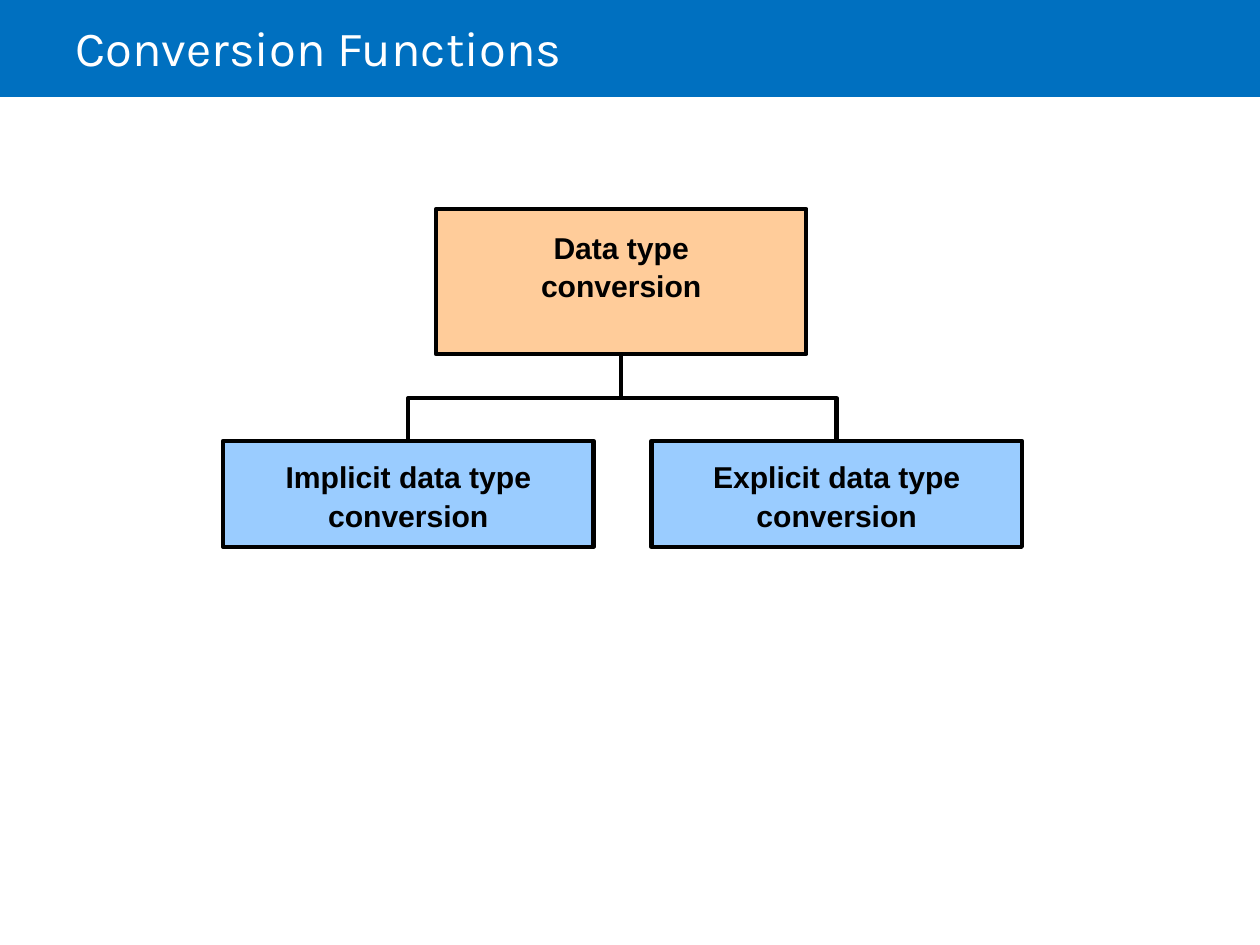
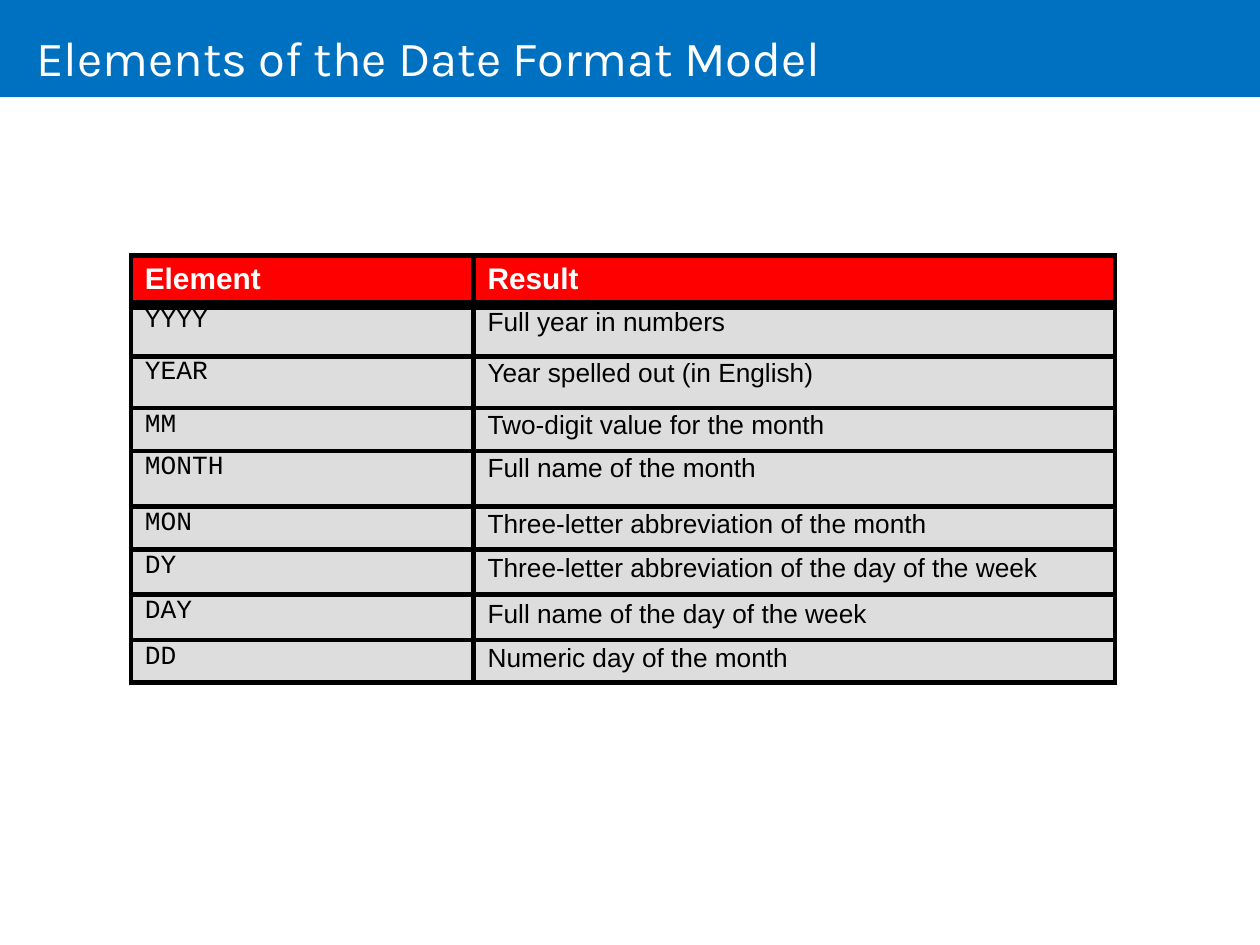
import pptx
import pptx.dml.color
import pptx.enum.shapes
import pptx.enum.text
import pptx.oxml
import pptx.oxml.ns
import pptx.util
from dataclasses import dataclass
from lxml import etree

Inches = pptx.util.Inches
Pt = pptx.util.Pt
ALIGN = pptx.enum.text.PP_ALIGN
ANCHOR = pptx.enum.text.MSO_ANCHOR
SHAPE = pptx.enum.shapes.MSO_SHAPE


@dataclass(frozen=True)
class Theme:
    band: str = "0070C0"
    root: str = "FFCC9A"
    child: str = "9ACCFF"
    header: str = "FF0000"
    body: str = "DDDDDD"
    ink: str = "000000"
    white: str = "FFFFFF"
    title_font: str = "Karla"
    text_font: str = "Arial"
    code_font: str = "Courier New"
    title_size: float = 28
    box_size: float = 17.2
    header_size: float = 17
    body_size: float = 15
    box_line: float = 2.46
    border: float = 3
    header_rule: float = 6


T = Theme()

# Element, result, row height, top margins of the two cells
DATE_ELEMENTS = [
    ("YYYY", "Full year in numbers", 0.41, 0.01, 0.02),
    ("YEAR", "Year spelled out (in English)", 0.41, 0.01, 0.02),
    ("MM", "Two-digit value for the month", 0.34, 0.02, 0.02),
    ("MONTH", "Full name of the month", 0.44, 0.01, 0.02),
    ("MON", "Three-letter abbreviation of the month", 0.34, 0.02, 0.03),
    ("DY", "Three-letter abbreviation of the day of the week", 0.36, 0.02, 0.04),
    ("DAY", "Full name of the day of the week", 0.36, 0.02, 0.04),
    ("DD", "Numeric day of the month", 0.34, 0.02, 0.03),
]


def rgb(color):
    return pptx.dml.color.RGBColor.from_string(color)


def add_run(p, text, font, size, color, bold=False):
    r = p.add_run()
    r.text = text
    r.font.name = font
    r.font.size = Pt(size)
    r.font.bold = bold
    r.font.color.rgb = rgb(color)


def set_margins(target, left=0, top=0, right=0, bottom=0):
    """Set the inner margins of a text frame or a table cell."""
    target.margin_left = Inches(left)
    target.margin_top = Inches(top)
    target.margin_right = Inches(right)
    target.margin_bottom = Inches(bottom)


def set_line(sp):
    sp.line.color.rgb = rgb(T.ink)
    sp.line.width = Pt(T.box_line)


def add_rect(s, left, top, width, height, fill):
    sp = s.shapes.add_shape(SHAPE.RECTANGLE, Inches(left), Inches(top),
                            Inches(width), Inches(height))
    sp.shadow.inherit = False
    sp.fill.solid()
    sp.fill.fore_color.rgb = rgb(fill)
    return sp


def add_titled_slide(prs, title, left, top, width):
    """Add a slide with the blue band and its title."""
    s = prs.slides.add_slide(prs.slide_layouts[6])
    add_rect(s, 0, 0, 10, 0.77, T.band).line.fill.background()
    tf = s.shapes.add_textbox(Inches(left), Inches(top),
                              Inches(width), Inches(0.48)).text_frame
    tf.word_wrap = True
    tf.vertical_anchor = ANCHOR.MIDDLE
    set_margins(tf, left=0.01, top=0.01)
    add_run(tf.paragraphs[0], title, T.title_font, T.title_size, T.white)
    return s


# Tree diagram
def add_tree_box(s, text, left, top, height, fill, margin_top):
    sp = add_rect(s, left, top, 2.94, height, fill)
    set_line(sp)
    tf = sp.text_frame
    tf.word_wrap = True
    tf.vertical_anchor = ANCHOR.TOP
    set_margins(tf, left=0.4, top=margin_top, right=0.4)
    p = tf.paragraphs[0]
    p.alignment = ALIGN.CENTER
    p.line_spacing = 1.07
    add_run(p, text, T.text_font, T.box_size, T.ink, bold=True)
    return sp


def add_branches(s, root, children, bar_y):
    """Join the root to its two children: a stem and a bracket."""
    root_x = root.left + root.width // 2
    stem = s.shapes.add_connector(pptx.enum.shapes.MSO_CONNECTOR.STRAIGHT,
                                  root_x, root.top + root.height, root_x, bar_y)
    stem.begin_connect(root, 2)
    set_line(stem)
    etree.SubElement(stem._element.spPr, pptx.oxml.ns.qn("a:effectLst"))

    left_x, right_x = (c.left + c.width // 2 for c in children)
    top = children[0].top
    builder = s.shapes.build_freeform(left_x, top)
    builder.add_line_segments([(left_x, bar_y), (right_x, bar_y), (right_x, top)],
                              close=False)
    bracket = builder.convert_to_shape()
    bracket.shadow.inherit = False
    bracket.fill.background()
    set_line(bracket)


# Table
def set_borders(cell, top, bottom):
    tcPr = cell._tc.get_or_add_tcPr()
    widths = {"lnL": T.border, "lnR": T.border, "lnT": top, "lnB": bottom}
    for tag, width in widths.items():
        tcPr.append(pptx.oxml.parse_xml(
            f'<a:{tag} {pptx.oxml.ns.nsdecls("a")} w="{Pt(width)}"><a:solidFill>'
            f'<a:srgbClr val="{T.ink}"/></a:solidFill></a:{tag}>'))


def fill_cell(cell, text, font, size, color, fill, margin_top,
              bold=False, top=T.border, bottom=T.border):
    set_borders(cell, top, bottom)
    cell.fill.solid()
    cell.fill.fore_color.rgb = rgb(fill)
    set_margins(cell, left=0.11, top=margin_top)
    add_run(cell.text_frame.paragraphs[0], text, font, size, color, bold)


def add_format_table(s, left, top, col_widths, header, header_height, rows):
    heights = [header_height] + [row[2] for row in rows]
    table = s.shapes.add_table(len(heights), len(header), Inches(left), Inches(top),
                               Inches(sum(col_widths)), Inches(sum(heights))).table
    table.first_row = table.horz_banding = False
    for column, width in zip(table.columns, col_widths):
        column.width = Inches(width)
    for row, height in zip(table.rows, heights):
        row.height = Inches(height)

    for j, text in enumerate(header):
        fill_cell(table.cell(0, j), text, T.text_font, T.header_size, T.white,
                  T.header, 0.05, bold=True, bottom=T.header_rule)
    for i, (element, result, _, element_top, result_top) in enumerate(rows, 1):
        rule = T.header_rule if i == 1 else T.border
        fill_cell(table.cell(i, 0), element, T.code_font, T.body_size, T.ink,
                  T.body, element_top, top=rule)
        fill_cell(table.cell(i, 1), result, T.text_font, T.body_size, T.ink,
                  T.body, result_top, top=rule)


def main():
    prs = pptx.Presentation()
    prs.slide_width = Inches(10)
    prs.slide_height = Inches(7.5)

    # Conversion tree
    s = add_titled_slide(prs, "Conversion Functions", 0.59, 0.13, 8.98)
    root = add_tree_box(s, "Data type conversion", 3.46, 1.66, 1.15, T.root, 0.14)
    children = [add_tree_box(s, f"{kind} data type conversion", left, 3.5, 0.84,
                             T.child, 0.12)
                for kind, left in (("Implicit", 1.77), ("Explicit", 5.17))]
    add_branches(s, root, children, Inches(3.16))

    # Date format elements
    s = add_titled_slide(prs, "Elements of the Date Format Model", 0.28, 0.21, 9.37)
    add_format_table(s, 1.04, 2.03, (2.72, 5.09), ("Element", "Result"), 0.39,
                     DATE_ELEMENTS)

    prs.save("out.pptx")


if __name__ == "__main__":
    main()
